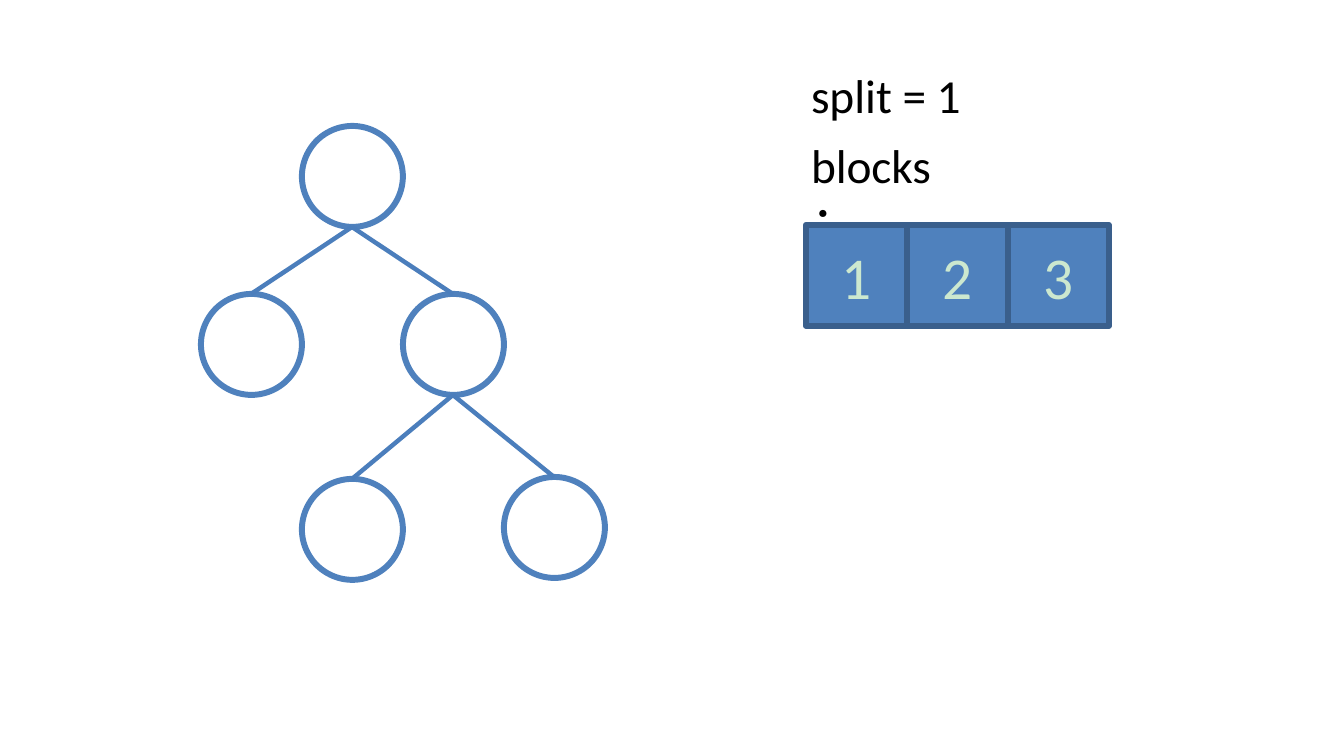
from typing import NamedTuple

from lxml.etree import SubElement
from pptx import Presentation
from pptx.dml.color import RGBColor
from pptx.enum.shapes import MSO_CONNECTOR, MSO_SHAPE
from pptx.enum.text import MSO_ANCHOR, MSO_AUTO_SIZE, PP_ALIGN
from pptx.oxml.ns import qn
from pptx.util import Cm, Emu, Pt

WHITE = RGBColor(0xFF, 0xFF, 0xFF)
BLACK = RGBColor(0x00, 0x00, 0x00)
BLUE = RGBColor(0x4F, 0x81, 0xBD)
EDGE = RGBColor(0x4B, 0x7E, 0xBC)
NAVY = RGBColor(0x3A, 0x5F, 0x8C)
MINT = RGBColor(0xCC, 0xE8, 0xCF)

WIDE, HIGH = 1344, 756
SCALE = Cm(16) / WIDE
UNIT = 101  # side of a node or block, and the step between columns


class Node(NamedTuple):
    left: int
    top: int

    @property
    def mid(self) -> int:
        return self.left + UNIT // 2


class Label(NamedTuple):
    text: str
    top: int
    width: int


def px(size: int) -> Emu:
    return Emu(round(size * SCALE))


def write(frame, text: str, *, size: int, color: RGBColor,
          align=PP_ALIGN.LEFT, anchor=MSO_ANCHOR.TOP) -> None:
    frame.word_wrap = True
    frame.vertical_anchor = anchor
    par = frame.paragraphs[0]
    par.alignment = align
    run = par.add_run()
    run.text = text
    run.font.name = "Calibri"
    run.font.size = Pt(size)
    run.font.color.rgb = color


def draw(kind, left: int, top: int, fill: RGBColor, line: RGBColor):
    shape = slide.shapes.add_shape(kind, px(left), px(top), px(UNIT), px(UNIT))
    shape.shadow.inherit = False
    shape.fill.solid()
    shape.fill.fore_color.rgb = fill
    shape.line.color.rgb = line
    shape.line.width = Pt(2)
    return shape


def link(start: Node, end: Node) -> None:
    line = slide.shapes.add_connector(
        MSO_CONNECTOR.STRAIGHT, px(start.mid), px(start.top + UNIT),
        px(end.mid), px(end.top))
    line.line.color.rgb = EDGE
    line.line.width = Pt(1.5)
    SubElement(line._element.spPr, qn("a:effectLst"))


deck = Presentation()
deck.slide_width, deck.slide_height = px(WIDE), px(HIGH)
slide = deck.slides.add_slide(deck.slide_layouts[6])
slide.background.fill.solid()
slide.background.fill.fore_color.rgb = WHITE

# Tree: column and top of each node, then parent and child pairs
PLACES = [(1, 126), (0, 294), (2, 294), (1, 479), (3, 477)]
LINKS = [(0, 1), (0, 2), (2, 3), (2, 4)]
nodes = [Node(201 + col * UNIT, top) for col, top in PLACES]
for node in nodes:
    draw(MSO_SHAPE.OVAL, node.left, node.top, WHITE, BLUE)
for start, end in LINKS:
    link(nodes[start], nodes[end])

# Labels
for label in (Label("split = 1", 56, 386), Label("blocks：", 126, 200)):
    box = slide.shapes.add_textbox(
        px(790), px(label.top), px(label.width), px(79))
    write(box.text_frame, label.text, size=16, color=BLACK)
    box.text_frame.auto_size = MSO_AUTO_SIZE.SHAPE_TO_FIT_TEXT

# Row of blocks
for step, digit in enumerate("123"):
    block = draw(MSO_SHAPE.RECTANGLE, 806 + step * UNIT, 225, BLUE, NAVY)
    write(block.text_frame, digit, size=20, color=MINT,
          align=PP_ALIGN.CENTER, anchor=MSO_ANCHOR.MIDDLE)

deck.save("out.pptx")
